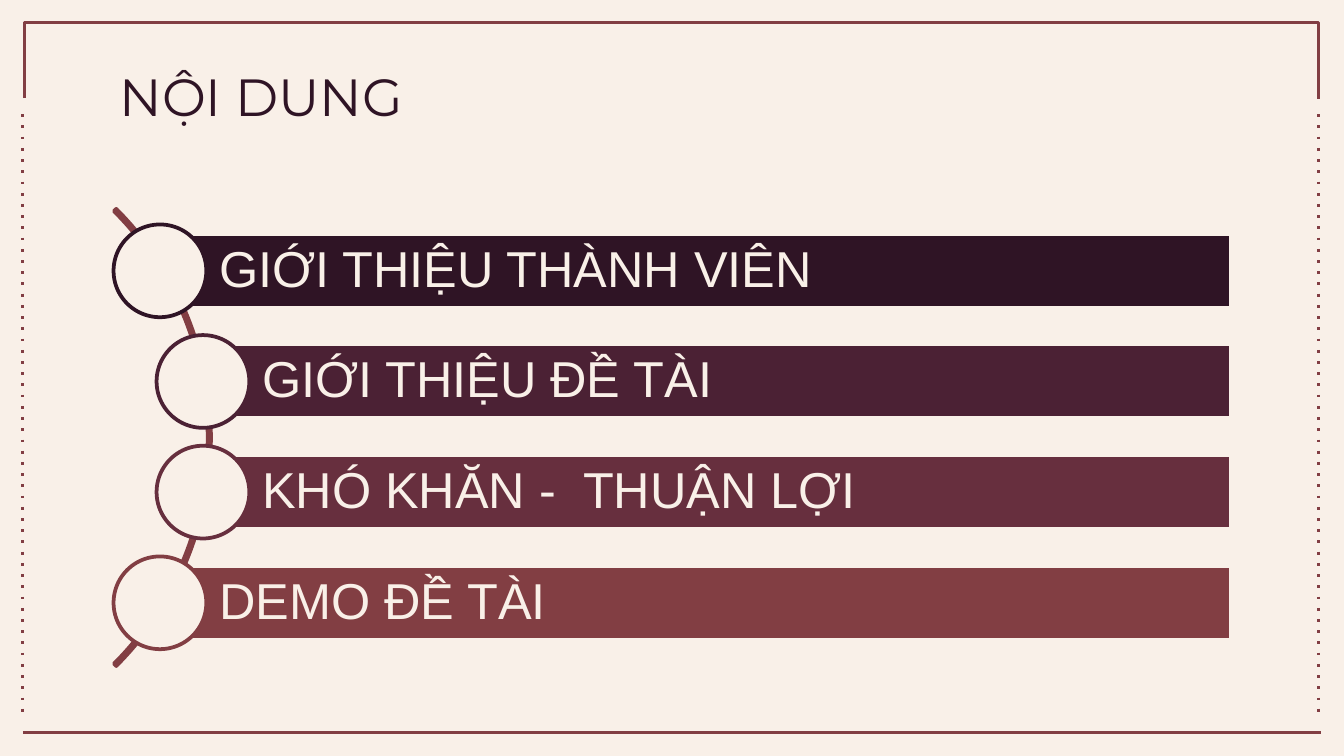
import pptx
import pptx.dml.color
import pptx.enum.shapes
import pptx.enum.text
import pptx.oxml
import pptx.oxml.ns
import pptx.util
from lxml import etree

Inches = pptx.util.Inches
Pt = pptx.util.Pt
qn = pptx.oxml.ns.qn
SHAPE = pptx.enum.shapes.MSO_SHAPE
ANCHOR = pptx.enum.text.MSO_ANCHOR

CREAM, PLUM, BRICK = "F9F0E8", "2F1425", "823E43"


def rgb(value):
    return pptx.dml.color.RGBColor.from_string(value)


class AgendaSlide:
    frame_width = 1.5
    item_width = 2

    def __init__(self, prs):
        self.s = prs.slides.add_slide(prs.slide_layouts[5])
        fill = self.s.background.fill
        fill.solid()
        fill.fore_color.rgb = rgb(CREAM)

    def style(self, sp, line, width, fill=None):
        sp.shadow.inherit = False
        if fill:
            sp.fill.solid()
            sp.fill.fore_color.rgb = rgb(fill)
        else:
            sp.fill.background()
        sp.line.color.rgb = rgb(line)
        sp.line.width = Pt(width)

    def text(self, sp, words, size, font, color, anchor, insets):
        """Insets run left, top, right, bottom."""
        tf = sp.text_frame
        tf.word_wrap = True
        tf.auto_size = pptx.enum.text.MSO_AUTO_SIZE.NONE
        tf.vertical_anchor = anchor
        tf.margin_left, tf.margin_top, tf.margin_right, tf.margin_bottom = map(Inches, insets)
        p = tf.paragraphs[0]
        p.alignment = pptx.enum.text.PP_ALIGN.LEFT
        r = p.add_run()
        r.text = words
        r.font.size = Pt(size)
        r.font.name = font
        r.font.color.rgb = rgb(color)
        return p

    def title(self, words, x, y, w, h):
        sp = self.s.shapes.title
        sp.left, sp.top, sp.width, sp.height = map(Inches, (x, y, w, h))
        self.text(sp, words, 28, "Montserrat", PLUM, ANCHOR.TOP, [0.1] * 4)

    def shape(self, kind, x, y, w, h, line, fill=None):
        sp = self.s.shapes.add_shape(kind, *map(Inches, (x, y, w, h)))
        self.style(sp, line, self.item_width, fill)
        return sp

    def line(self, x1, y1, x2, y2, dotted=False):
        sp = self.s.shapes.add_connector(
            pptx.enum.shapes.MSO_CONNECTOR.STRAIGHT, *map(Inches, (x1, y1, x2, y2)))
        sp.line.color.rgb = rgb(BRICK)
        sp.line.width = Pt(self.frame_width)
        spPr = sp._element.spPr
        if dotted:
            etree.SubElement(spPr.find(qn("a:ln")), qn("a:prstDash")).set("val", "dot")
        etree.SubElement(spPr, qn("a:effectLst"))

    def outline(self, points):
        start, *rest = [tuple(map(Inches, point)) for point in points]
        builder = self.s.shapes.build_freeform(*start)
        builder.add_line_segments(rest, close=False)
        self.style(builder.convert_to_shape(), BRICK, self.frame_width)

    def arc(self, x, y, size):
        sp = self.shape(SHAPE.BLOCK_ARC, x, y, size, size, BRICK)
        for i, value in enumerate((189, 27, 0.005)):
            sp.adjustments[i] = value

    def item(self, words, x, y, color):
        """Bar with its label, and the circle centred on the bar's left end."""
        right, height, circle = 9.16, 0.55, 0.69
        bar = self.shape(SHAPE.RECTANGLE, x, y, right - x, height, CREAM, color)
        p = self.text(bar, words, 27, "Arial", CREAM, ANCHOR.MIDDLE, (0.44, 0.07, 0.07, 0.07))
        p.line_spacing = 0.9
        self.shape(SHAPE.OVAL, x - circle / 2, y + (height - circle) / 2,
                   circle, circle, color, CREAM)


def main():
    prs = pptx.Presentation()
    prs.slide_width = Inches(10)
    prs.slide_height = Inches(10 * 9 / 16)
    slide = AgendaSlide(prs)

    left, right, top = 0.18, 9.81, 0.17
    slide.outline([(left, 0.73), (left, top), (right, top), (right, 0.74)])
    for x in (0.17, right):
        slide.line(x, 0.85, x, 5.33, dotted=True)
    slide.line(0.17, 5.45, 9.83, 5.45)

    slide.title("NỘI DUNG", 0.79, 0.38, 8.43, 0.63)

    slide.arc(-3.24, 0.85, 4.81)
    items = [
        ("GIỚI THIỆU THÀNH VIÊN", 1.19, PLUM),
        ("GIỚI THIỆU ĐỀ TÀI", 1.51, "4B2134"),
        ("KHÓ KHĂN -  THUẬN LỢI", 1.51, "672F3E"),
        ("DEMO ĐỀ TÀI", 1.19, BRICK),
    ]
    first, last = 1.74, 4.21
    pitch = (last - first) / (len(items) - 1)
    for i, (words, x, color) in enumerate(items):
        slide.item(words, x, first + i * pitch, color)

    prs.save("out.pptx")


if __name__ == "__main__":
    main()
